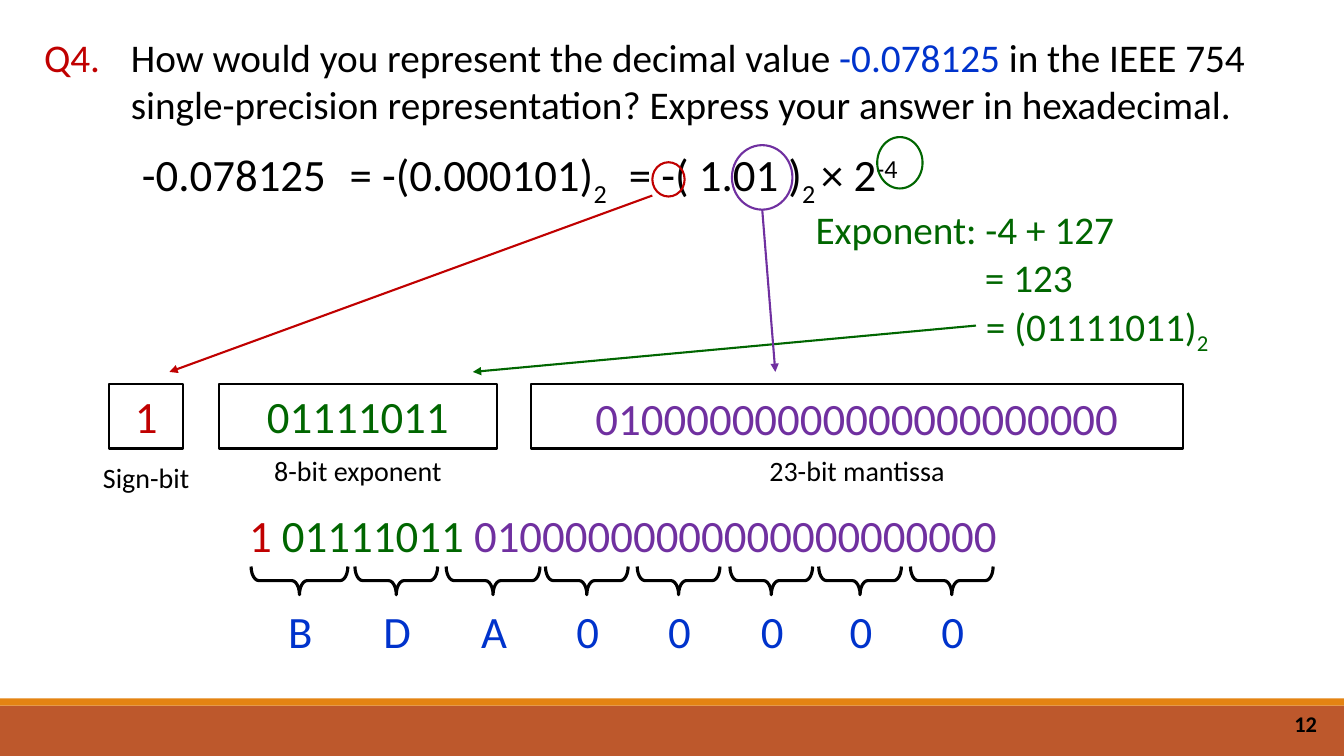
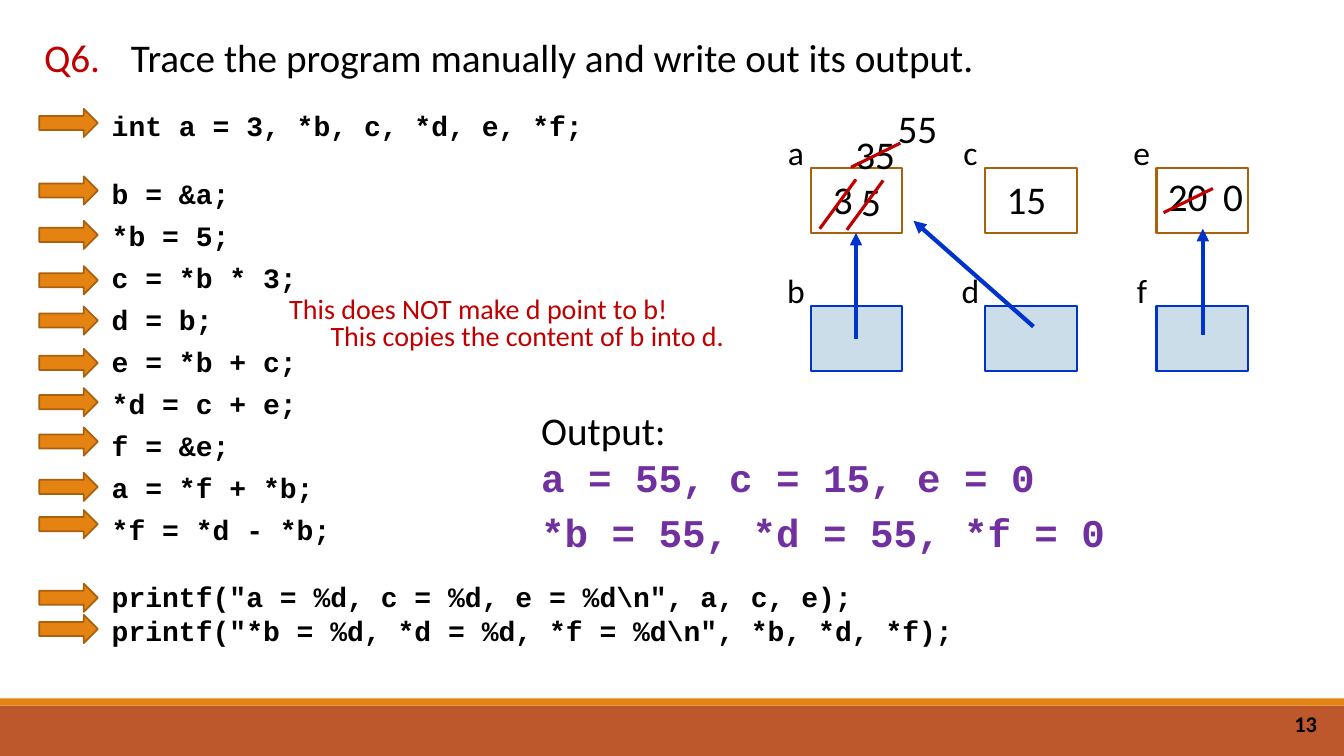
from lxml.etree import SubElement
from pptx import Presentation
from pptx.dml.color import RGBColor
from pptx.enum.shapes import MSO_CONNECTOR, MSO_SHAPE
from pptx.enum.text import MSO_ANCHOR, PP_ALIGN
from pptx.oxml.ns import qn
from pptx.util import Inches, Pt

COLORS = {
    "black": "000000",
    "red": "C00000",
    "blue": "0033CC",
    "green": "006600",
    "purple": "7030A0",
    "orange": "E48312",
    "rust": "BD582C",
    "brown": "A9610D",
    "pale_blue": "CCDDEA",
}
BODY_FONT = "Calibri"
CODE_FONT = "Courier New"
SUBSCRIPT = {"baseline": -25}
SUPERSCRIPT = {"baseline": 30}
SLIDE_WIDTH, SLIDE_HEIGHT = 13.33, 7.5


def rgb(name):
    return RGBColor.from_string(COLORS[name])


def add_text(slide, box, *paragraphs, size=28, color="black", font=BODY_FONT,
             bold=False, align=PP_ALIGN.LEFT, anchor=MSO_ANCHOR.TOP):
    frame = slide.shapes.add_textbox(*map(Inches, box)).text_frame
    frame.word_wrap = True
    frame.vertical_anchor = anchor
    for index, content in enumerate(paragraphs):
        paragraph = frame.paragraphs[0] if index == 0 else frame.add_paragraph()
        paragraph.alignment = align
        for part in [content] if isinstance(content, str) else content:
            words, style = (part, {}) if isinstance(part, str) else part
            run = paragraph.add_run()
            run.text = words
            run.font.size = Pt(size)
            run.font.name = style.get("font", font)
            run.font.bold = style.get("bold", bold)
            run.font.color.rgb = rgb(style.get("color", color))
            if "baseline" in style:
                run._r.get_or_add_rPr().set("baseline", str(style["baseline"] * 1000))
    return frame


def add_centered(slide, box, content, **style):
    return add_text(slide, box, content, align=PP_ALIGN.CENTER, **style)


def add_figure(slide, preset, box, fill=None, line=None, width=1.5):
    figure = slide.shapes.add_shape(preset, *map(Inches, box))
    figure.shadow.inherit = False
    if fill:
        figure.fill.solid()
        figure.fill.fore_color.rgb = rgb(fill)
    else:
        figure.fill.background()
    if line:
        figure.line.color.rgb = rgb(line)
        figure.line.width = Pt(width)
    else:
        figure.line.fill.background()
    return figure


def add_line(slide, start, end, color, width=1.5, arrow=False):
    line = slide.shapes.add_connector(
        MSO_CONNECTOR.STRAIGHT, *map(Inches, (*start, *end)))
    line.line.color.rgb = rgb(color)
    line.line.width = Pt(width)
    if arrow:
        SubElement(line.line._get_or_add_ln(), qn("a:tailEnd"), type="triangle")
    SubElement(line._element.spPr, qn("a:effectLst"))


def add_question_slide(deck, page, number, question):
    slide = deck.slides.add_slide(deck.slide_layouts[6])
    add_figure(slide, MSO_SHAPE.RECTANGLE, (0, 7, SLIDE_WIDTH, 0.5), fill="rust")
    add_figure(slide, MSO_SHAPE.RECTANGLE, (0, 6.93, SLIDE_WIDTH, 0.07), fill="orange")
    add_text(slide, (10.16, 6.98, 3, 0.4), str(page), size=16, bold=True,
             align=PP_ALIGN.RIGHT, anchor=MSO_ANCHOR.MIDDLE)
    add_centered(slide, (0.22, 0.28, 0.99, 0.57), number, color="red")
    add_text(slide, (1.2, 0.28, 11.92, 1.04), question)
    return slide


def draw_normalisation(slide, left, top):
    steps = [
        (0, 2.6, ["-0.078125"]),
        (2.06, 3.1, ["= -(0.000101)", ("2", SUBSCRIPT)]),
        (4.83, 3.1, ["= -( 1.01 )", ("2 ", SUBSCRIPT), "× 2", ("-4", SUPERSCRIPT)]),
    ]
    for offset, width, step in steps:
        add_text(slide, (left + offset, top, width, 0.64), step, size=32)
    rings = [
        (5.16, 0.2, 0.32, 0.34, "red"),
        (5.95, 0.03, 0.6, 0.64, "purple"),
        (7.39, -0.05, 0.45, 0.51, "green"),
    ]
    for x, y, width, height, color in rings:
        add_figure(slide, MSO_SHAPE.OVAL, (left + x, top + y, width, height), line=color)


def draw_exponent(slide, left, top):
    steps = [
        (0, 0, 3.72, "Exponent: -4 + 127"),
        (1.68, 0.47, 1.18, "= 123"),
        (1.69, 0.96, 2.55, ["= (01111011)", ("2", SUBSCRIPT)]),
    ]
    for x, y, width, step in steps:
        add_text(slide, (left + x, top + y, width, 0.57), step, color="green")


def draw_fields(slide, left, top, mantissa):
    fields = [
        (0, 0.74, "1", "red", "Sign-bit", 0.71, 0),
        (1.09, 2.76, "01111011", "green", "8-bit exponent", 0.64, 0),
        (4.19, 6.46, mantissa, "purple", "23-bit mantissa", 0.64, 0.02),
    ]
    for x, width, bits, color, label, drop, shift in fields:
        field = left + x
        add_figure(slide, MSO_SHAPE.RECTANGLE, (field, top, width, 0.64), line="black")
        add_centered(slide, (field, top + shift, width, 0.64), bits,
                     size=32, color=color)
        add_centered(slide, (field + width / 2 - 1.3, top + drop, 2.6, 0.44), label,
                     size=20)
    sources = [((6.47, 1.94), 1.68, "red"), ((9.68, 3.23), 4.69, "green"),
               ((7.56, 2.08), 7.69, "purple")]
    for start, end, color in sources:
        add_line(slide, start, (end, top - 0.12), color, arrow=True)


def draw_hex_digits(slide, left, top, mantissa):
    bits = [("1 ", {"color": "red"}), ("01111011", {"color": "green"}), " " + mantissa]
    add_centered(slide, (left, top, 8.38, 0.64), bits, size=32, color="purple")
    nibbles = [("B", 0.98, 0.96), ("D", 1.94, 0.82), ("A", 2.9, 0.93), ("0", 3.83, 0.82),
               ("0", 4.74, 0.82), ("0", 5.66, 0.82), ("0", 6.54, 0.82), ("0", 7.45, 0.82)]
    for digit, offset, span in nibbles:
        center = left + offset
        brace = add_figure(
            slide, MSO_SHAPE.RIGHT_BRACE,
            (center - 0.14, top + 0.77 - span / 2, 0.28, span), line="black", width=2.25)
        brace.rotation = 90
        brace.adjustments[0] = 0.274
        add_centered(slide, (center - 0.36, top + 0.95, 0.74, 0.64), digit,
                     size=32, color="blue")


def build_float_slide(deck):
    question = ["How would you represent the decimal value ",
                ("-0.078125", {"color": "blue"}),
                " in the IEEE 754 single-precision representation? "
                "Express your answer in hexadecimal."]
    slide = add_question_slide(deck, 12, "Q4.", question)
    mantissa = "01" + "0" * 21
    draw_normalisation(slide, 1.31, 1.41)
    draw_exponent(slide, 7.99, 1.99)
    draw_fields(slide, 1.08, 3.81, mantissa)
    draw_hex_digits(slide, 1.99, 4.99, mantissa)


def draw_program(slide, left, top):
    blocks = [
        ["int a = 3, *b, c, *d, e, *f;"],
        ["b = &a;", "*b = 5;", "c = *b * 3;", "d = b;", "e = *b + c;",
         "*d = c + e;", "f = &e;", "a = *f + *b;", "*f = *d - *b;"],
        ['printf("a = %d, c = %d, e = %d\\n", a, c, e);',
         'printf("*b = %d, *d = %d, *f = %d\\n", *b, *d, *f);'],
    ]
    statements = [statement for block in blocks for statement in block]
    frame = add_text(slide, (left + 0.62, top, 8.76, 5.49), *statements,
                     size=20, font=CODE_FONT, bold=True)
    lines = iter(frame.paragraphs)
    for number, block in enumerate(blocks):
        for row in range(len(block)):
            line = next(lines)
            line.line_spacing = Pt(24)
            if row == 0:
                line.space_before = Pt(24 if number else 0)
            else:
                line.space_before = Pt(6 if number == 1 else 0)
    step_tops = [0.05, 0.72, 1.16, 1.61, 2.01, 2.43, 2.82, 3.21, 3.66, 4.03, 4.76, 5.07]
    for step_top in step_tops:
        add_figure(slide, MSO_SHAPE.RIGHT_ARROW, (left, top + step_top, 0.58, 0.28),
                   fill="orange", line="brown", width=1.25)


def draw_warning(slide, left, top):
    add_text(slide, (left, top, 4.18, 0.44), "This does NOT make d point to b!",
             size=20, color="red")
    add_text(slide, (left + 0.41, top + 0.27, 4.18, 0.44),
             "This copies the content of b into d.", size=20, color="red")


def draw_memory(slide, left, top):
    rows = [(0, "ace", None, "brown"), (1.37, "bdf", "pale_blue", "blue")]
    for y, names, fill, line in rows:
        for x, name in zip((0, 1.73, 3.43), names):
            add_figure(slide, MSO_SHAPE.RECTANGLE, (left + x, top + y, 0.91, 0.64),
                       fill=fill, line=line)
            add_centered(slide, (left + x - 0.4, top + y - 0.41, 0.51, 0.5), name, size=24)
    values = [("3", 0.32, 0.02), ("5", 0.6, 0.04), ("35", 0.64, -0.43),
              ("55", 1.06, -0.68), ("15", 2.14, 0.02), ("20", 3.74, -0.01),
              ("0", 4.19, -0.01)]
    for value, x, y in values:
        add_centered(slide, (left + x - 0.35, top + y, 0.7, 0.57), value)
    pointers = [(0.45, 1.69, 0.45, 0.64), (2.21, 1.57, 1.02, 0.52), (3.89, 1.65, 3.89, 0.6)]
    strikes = [(0.72, 0.11, 0.09, 0.6), (0.72 + 0.0, 0.12, 0.36, 0.61),
               (0.89, -0.25, 0.4, -0.01), (3.99, 0.2, 3.5, 0.44)]
    strikes[0] = (0.45, 0.11, 0.09, 0.6)
    for marks, color, width, arrow in ((pointers, "blue", 3, True),
                                       (strikes, "red", 2.25, False)):
        for x1, y1, x2, y2 in marks:
            add_line(slide, (left + x1, top + y1), (left + x2, top + y2),
                     color, width, arrow)


def draw_output(slide, left, top):
    printed = {"font": CODE_FONT, "color": "purple", "bold": True}
    add_text(slide, (left, top, 5.97, 1.04), "Output:", [("a = 55, c = 15, e = 0", printed)])
    add_text(slide, (left, top + 1.01, 5.97, 0.57), "*b = 55, *d = 55, *f = 0", **printed)


def build_trace_slide(deck):
    slide = add_question_slide(
        deck, 13, "Q6.", "Trace the program manually and write out its output.")
    draw_program(slide, 0.39, 1.03)
    draw_memory(slide, 8.04, 1.67)
    draw_warning(slide, 2.77, 2.84)
    draw_output(slide, 5.27, 3.98)


def main():
    deck = Presentation()
    deck.slide_width = Inches(SLIDE_WIDTH)
    deck.slide_height = Inches(SLIDE_HEIGHT)
    build_float_slide(deck)
    build_trace_slide(deck)
    deck.save("out.pptx")


if __name__ == "__main__":
    main()
